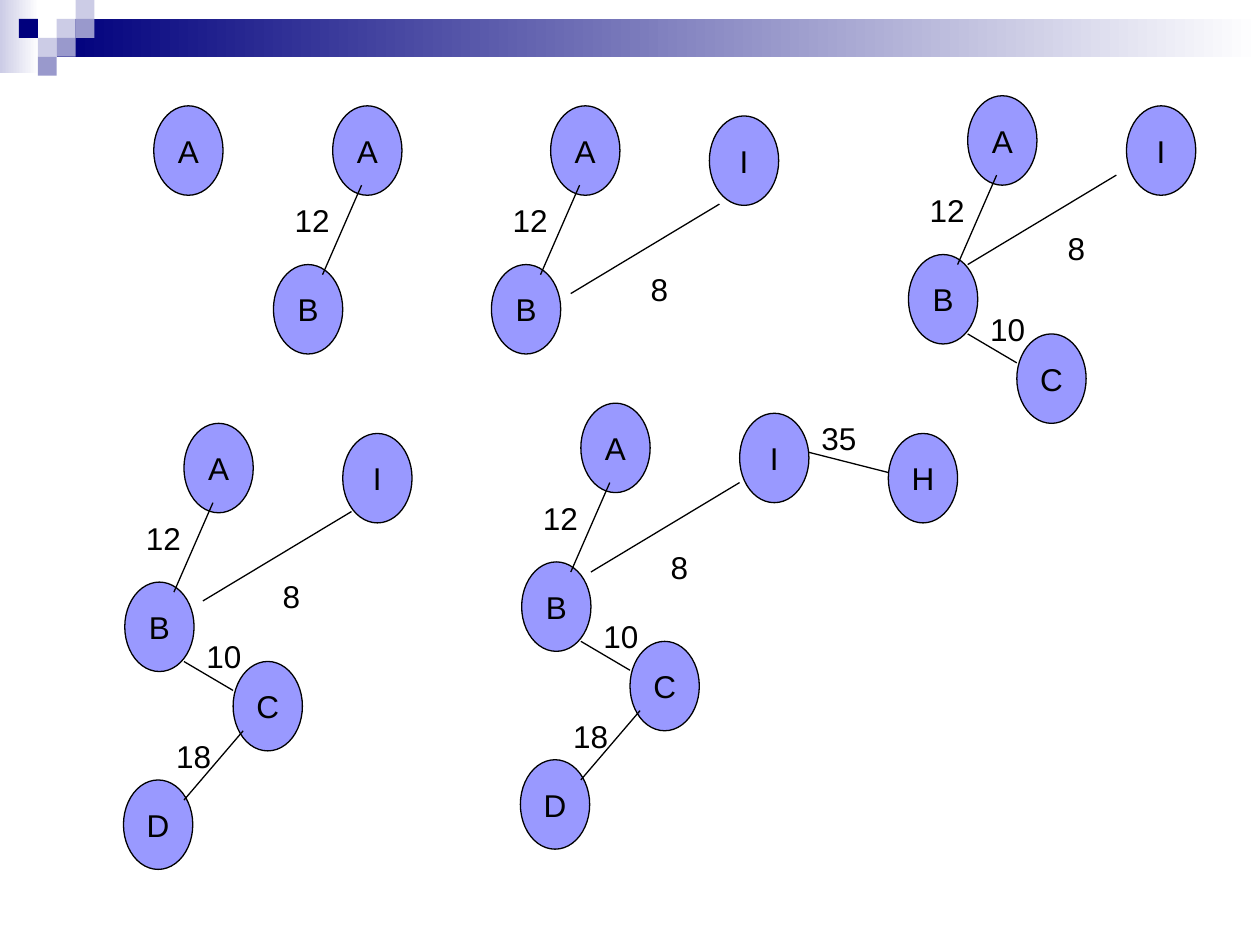
"""Build a slide that grows a minimum spanning tree over six steps."""
from lxml.etree import SubElement
from pptx import Presentation
from pptx.dml.color import RGBColor
from pptx.enum.shapes import MSO_CONNECTOR as Link, MSO_SHAPE as Kind
from pptx.enum.text import MSO_ANCHOR as Anchor, PP_ALIGN as Align
from pptx.oxml.ns import qn
from pptx.util import Inches, Pt

NAVY, PALE, MID, WHITE = "00007D", "CCCCE6", "9999CC", "FFFFFF"
LILAC, BLACK = "9999FF", "000000"
BANDS = [((0, 0, 0.31, 0.58), PALE), ((0.45, 0.15, 9.55, 0.3), NAVY)]
STEP = 0.15
TILES = [(3, 1, PALE), (4, 0, PALE), (4, 1, MID), (2, 2, PALE),
         (1, 1, NAVY), (3, 2, MID), (2, 3, MID)]

SIZE = (0.55, 0.71)
NODES = {"A": (0, 0), "B": (-0.47, 1.26), "I": (1.26, 0.08),
         "C": (0.39, 1.89), "D": (-0.48, 2.83), "H": (2.44, 0.24)}
EDGES = {
    "B": ("12", (0.23, 0.63), (-0.31, 0.71), (-0.4, 0.71), 1.02),
    "C": ("10", (0, 1.89), (0.39, 0.23), (0.08, 1.65), 0.87),
    "D": ("18", (0.47, 2.44), (-0.47, 0.55), (-0.16, 2.44), 0.71),
    "H": ("35", (1.81, 0.39), (0.63, 0.16), (1.81, 0.08), 0.79),
}
REACH = (1.18, -0.71)
TREES = [
    ((1.22, 0.84), "A", None, None),
    ((2.64, 0.84), "AB", None, None),
    ((4.37, 0.84), "ABI", (0.16, 1.49), (0.08, 1.25)),
    ((7.68, 0.76), "ABIC", (0, 1.34), (0.08, 1.01)),
    ((1.46, 3.36), "ABICD", (0.15, 1.41), (0.07, 1.17)),
    ((4.61, 3.2), "ABICDH", (0.08, 1.34), (0, 1.1)),
]


def tint(code):
    return RGBColor.from_string(code)


def shift(spot, gap):
    return spot[0] + gap[0], spot[1] + gap[1]


def add_form(slide, kind, box):
    form = slide.shapes.add_shape(kind, *map(Inches, box))
    form.shadow.inherit = False
    return form


def add_tile(slide, box, color, fade=False):
    tile = add_form(slide, Kind.RECTANGLE, box)
    tile.line.fill.background()
    if fade:
        tile.fill.gradient()
        tile.fill.gradient_angle = 0
        ends = (color, WHITE) if fade == "out" else (PALE, WHITE)
        for stop, code in zip(tile.fill.gradient_stops, ends):
            stop.color.rgb = tint(code)
    else:
        tile.fill.solid()
        tile.fill.fore_color.rgb = tint(color)


def write(frame, text, align):
    para = frame.paragraphs[0]
    para.alignment = align
    run = para.add_run()
    run.text = text
    run.font.name = "Arial"
    run.font.size = Pt(18)
    run.font.color.rgb = tint(BLACK)


def add_node(slide, name, spot):
    node = add_form(slide, Kind.OVAL, (*spot, *SIZE))
    node.fill.solid()
    node.fill.fore_color.rgb = tint(LILAC)
    node.line.color.rgb = tint(BLACK)
    node.line.width = Pt(0.75)
    node.text_frame.word_wrap = False
    node.text_frame.vertical_anchor = Anchor.MIDDLE
    write(node.text_frame, name, Align.CENTER)


def add_edge(slide, start, end):
    edge = slide.shapes.add_connector(Link.STRAIGHT, *map(Inches, start + end))
    edge.line.color.rgb = tint(BLACK)
    edge.line.width = Pt(0.75)
    SubElement(edge._element.spPr, qn("a:effectLst"))


def add_cost(slide, text, spot, width, align):
    label = slide.shapes.add_textbox(*map(Inches, (*spot, width, 0.4)))
    label.text_frame.word_wrap = True
    write(label.text_frame, text, align)


def add_tree(slide, root, names, start, mark):
    for name in names:
        add_node(slide, name, shift(root, NODES[name]))
    for name in names[1:]:
        if name == "I":
            cost, tail, gap, place, width = "8", start, REACH, mark, 0.95
            align = Align.RIGHT
        else:
            cost, tail, gap, place, width = EDGES[name]
            align = Align.LEFT
        tail = shift(root, tail)
        add_edge(slide, tail, shift(tail, gap))
        add_cost(slide, cost, shift(root, place), width, align)


def main():
    deck = Presentation()
    deck.slide_width, deck.slide_height = Inches(10), Inches(7.5)
    slide = deck.slides.add_slide(deck.slide_layouts[6])
    for box, color in BANDS:
        add_tile(slide, box, color, "out")
    for col, row, color in TILES:
        add_tile(slide, (col * STEP, row * STEP, STEP, STEP), color)
    for tree in TREES:
        add_tree(slide, *tree)
    deck.save("out.pptx")


if __name__ == "__main__":
    main()
